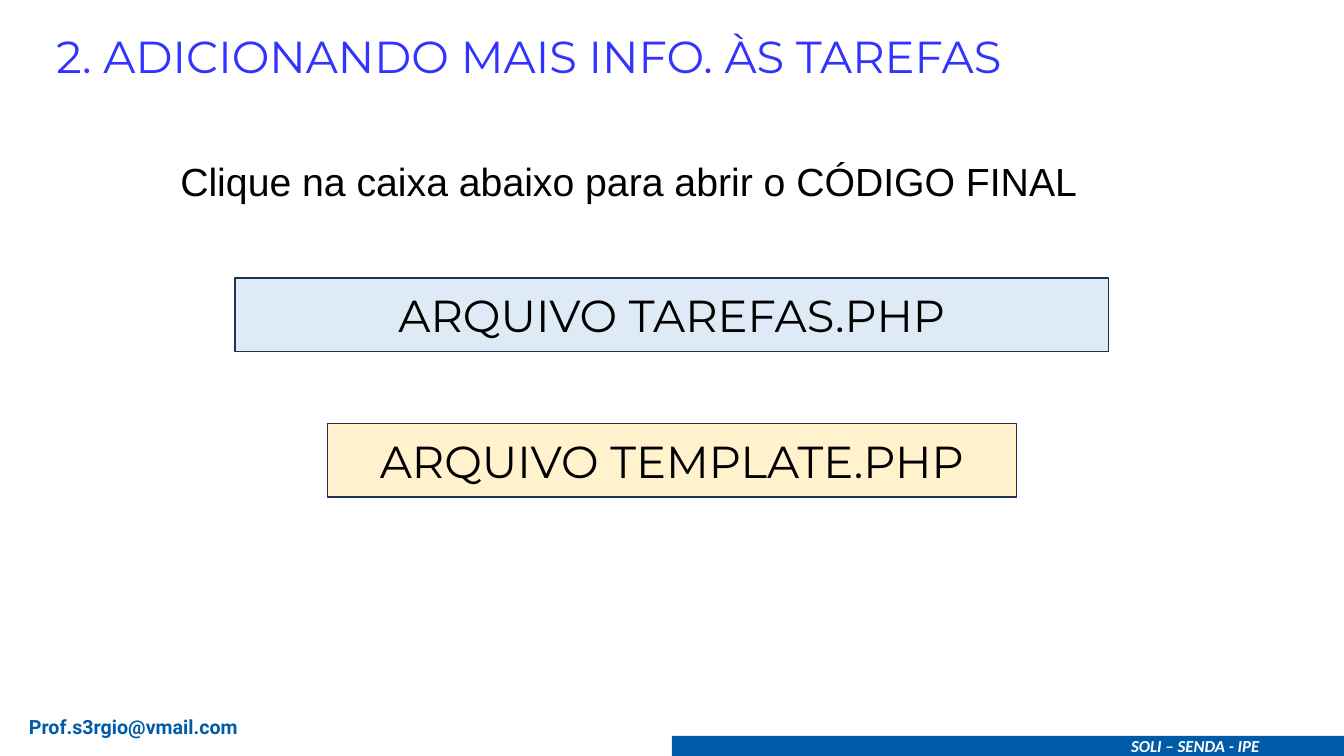
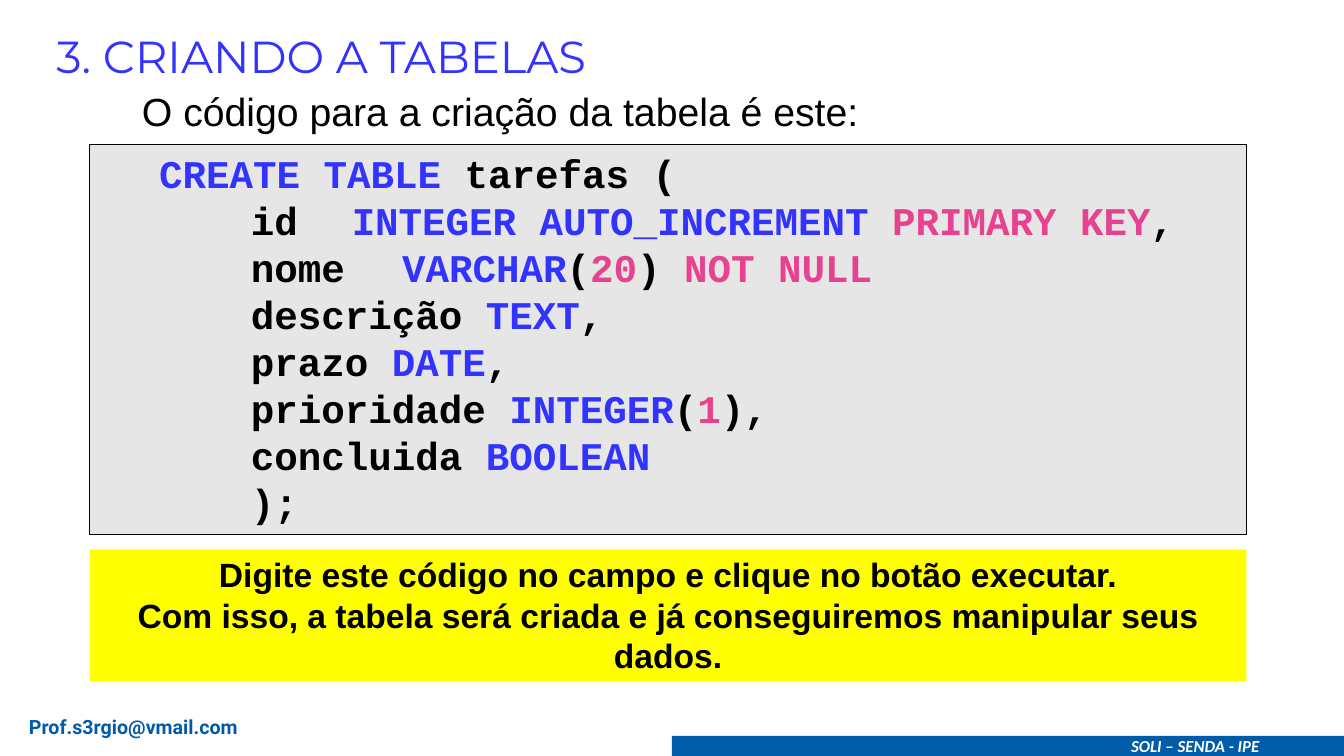
from pptx import Presentation
from pptx.dml.color import RGBColor
from pptx.enum.shapes import MSO_SHAPE
from pptx.enum.text import MSO_ANCHOR, PP_ALIGN
from pptx.oxml.ns import qn
from pptx.util import Inches, Pt
from lxml.etree import SubElement

BLACK = RGBColor(0x00, 0x00, 0x00)
WHITE = RGBColor(0xFF, 0xFF, 0xFF)
BLUE = RGBColor(0x33, 0x33, 0xFF)
PINK = RGBColor(0xE7, 0x42, 0x8F)
BAND = RGBColor(0x00, 0x5C, 0xA8)
NAVY = RGBColor(0x1E, 0x32, 0x56)
SKY = RGBColor(0xDE, 0xEB, 0xF7)
CREAM = RGBColor(0xFF, 0xF2, 0xCC)
GREY = RGBColor(0xE7, 0xE6, 0xE6)
YELLOW = RGBColor(0xFF, 0xFF, 0x00)

TITLE = {"name": "Montserrat", "size": Pt(32)}
BODY = {"name": "Arial", "size": Pt(28)}
CODE = {"name": "Courier New", "size": Pt(28), "bold": True}
NOTE = {"name": "Arial", "size": Pt(24), "bold": True}
MAIL = {"name": "Roboto", "size": Pt(14), "bold": True}
BRAND = {"name": "Calibri", "size": Pt(12), "bold": True, "italic": True}

TAB = Inches(0.59)
INDENT = Inches(1)
LEAD = 1.2

deck = Presentation()
deck.slide_width, deck.slide_height = Inches(13.33), Inches(7.5)


def add_box(slide, at, fill=None, line=None, width=1):
    """Add a box placed in percent of the slide; without a fill it is a text box."""
    sides = (deck.slide_width, deck.slide_height) * 2
    place = [int(side * share / 100) for side, share in zip(sides, at)]
    if fill is None:
        box = slide.shapes.add_textbox(*place)
    else:
        box = slide.shapes.add_shape(MSO_SHAPE.RECTANGLE, *place)
        box.shadow.inherit = False
        box.fill.solid()
        box.fill.fore_color.rgb = fill
        if line is None:
            box.line.fill.background()
        else:
            box.line.color.rgb = line
            box.line.width = Pt(width)
    box.text_frame.word_wrap = True
    box.text_frame.vertical_anchor = MSO_ANCHOR.TOP
    return box


def write(box, lines, style, color=BLACK, align=PP_ALIGN.JUSTIFY, lead=None, tab=False):
    """Fill a box; a line is a text or a list of (text, colour) runs."""
    frame = box.text_frame
    for row, line in enumerate(lines):
        para = frame.add_paragraph() if row else frame.paragraphs[0]
        para.alignment = align
        if lead:
            para.line_spacing = Pt(style["size"].pt * lead)
        if tab:
            stops = SubElement(para._p.get_or_add_pPr(), qn("a:tabLst"))
            SubElement(stops, qn("a:tab"), pos=str(TAB), algn="l")
        for text, tint in [(line, color)] if isinstance(line, str) else line:
            run = para.add_run()
            run.text = text
            for key, value in style.items():
                setattr(run.font, key, value)
            run.font.color.rgb = tint


# Shared title, band and footer
slides = []
for title in ("2. ADICIONANDO MAIS INFO. ÀS TAREFAS", "3. CRIANDO A TABELAS"):
    slide = deck.slides.add_slide(deck.slide_layouts[6])
    write(add_box(slide, (3.45, 3.2, 88, 8.53)), [title], TITLE, BLUE)
    add_box(slide, (50, 97.33, 50, 2.67), BAND)
    write(add_box(slide, (83.42, 96.67, 12.9, 4)), ["SOLI – SENDA - IPE"],
          BRAND, WHITE, PP_ALIGN.LEFT)
    write(add_box(slide, (1.42, 93.87, 28.36, 4.53)), ["Prof.s3rgio@vmail.com"],
          MAIL, BAND)
    slides.append(slide)
files, table = slides

# Slide 1: the two file boxes, each centred across the slide
write(add_box(files, (8.25, 20.13, 83.5, 7.6)),
      ["\tClique na caixa abaixo para abrir o CÓDIGO FINAL"], BODY, lead=LEAD, tab=True)
for name, top, wide, fill in (("ARQUIVO TAREFAS.PHP", 36.8, 65, SKY),
                              ("ARQUIVO TEMPLATE.PHP", 56, 51.3, CREAM)):
    box = add_box(files, ((100 - wide) / 2, top, wide, 9.73), fill, NAVY)
    box.text_frame.vertical_anchor = MSO_ANCHOR.MIDDLE
    write(box, [name], TITLE, align=PP_ALIGN.CENTER)

# Slide 2: code and note share one column
LEFT, WIDE = 6.68, 86.05
write(add_box(table, (5.4, 10.93, WIDE, 7.6)),
      ["\tO código para a criação da tabela é este:"], BODY, lead=LEAD, tab=True)

code = [
    [("\t", BLACK), ("CREATE TABLE", BLUE), (" tarefas (", BLACK)],
    [("\tid \t", BLACK), ("INTEGER AUTO_INCREMENT ", BLUE),
     ("PRIMARY KEY", PINK), (",", BLACK)],
    [("\tnome \t", BLACK), ("VARCHAR", BLUE), ("(", BLACK), ("20", PINK),
     (") ", BLACK), ("NOT NULL", PINK)],
    [("\tdescrição ", BLACK), ("TEXT", BLUE), (",", BLACK)],
    [("\tprazo ", BLACK), ("DATE", BLUE), (",", BLACK)],
    [("\tprioridade ", BLACK), ("INTEGER", BLUE), ("(", BLACK), ("1", PINK),
     ("),", BLACK)],
    [("\tconcluida ", BLACK), ("BOOLEAN", BLUE)],
    "\t);",
]
box = add_box(table, (LEFT, 19.07, WIDE, 51.6), GREY, BLACK, 0.75)
write(box, code, CODE, lead=LEAD, tab=True)
for para in box.text_frame.paragraphs[1:]:
    para.level = 1
    props = para._p.get_or_add_pPr()
    props.set("marL", str(INDENT))
    props.set("indent", "0")

write(add_box(table, (LEFT, 72.67, WIDE, 17.47), YELLOW),
      ["Digite este código no campo e clique no botão executar.",
       "Com isso, a tabela será criada e já conseguiremos manipular seus dados."],
      NOTE, align=PP_ALIGN.CENTER, lead=LEAD)

deck.save("out.pptx")
